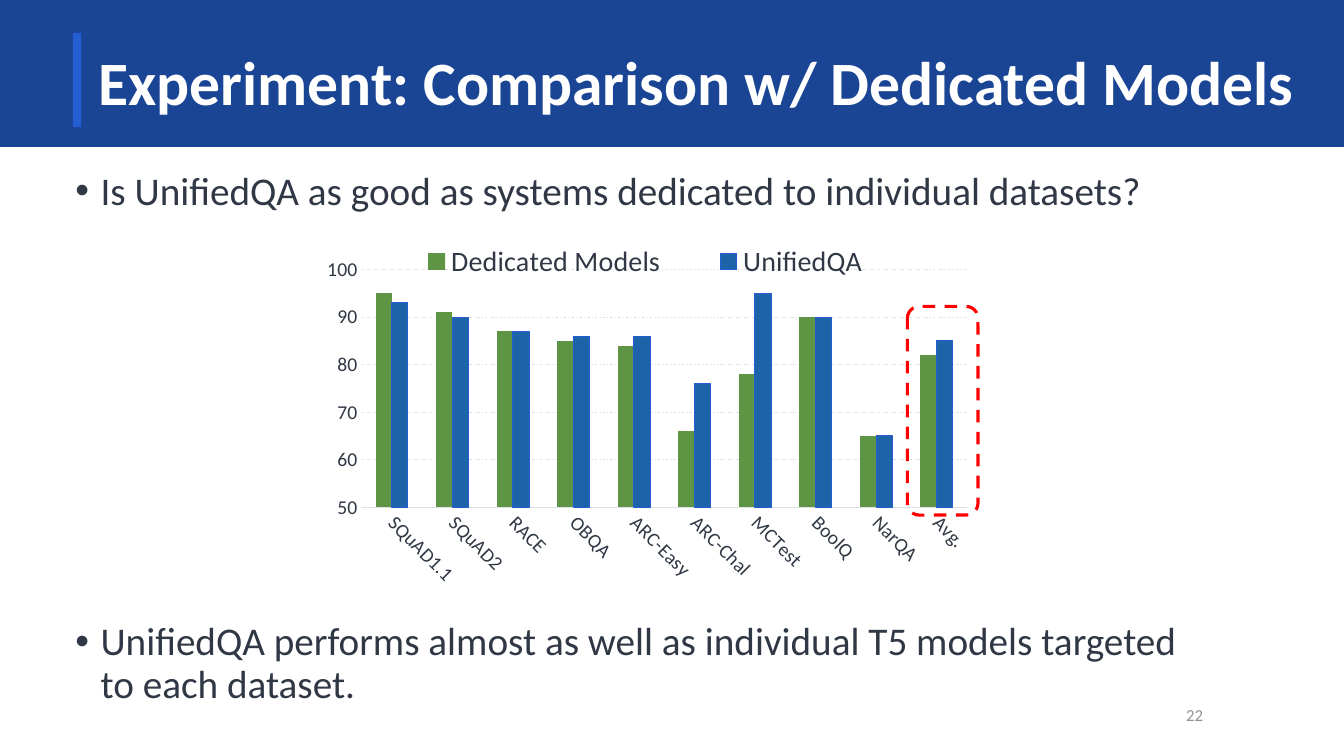
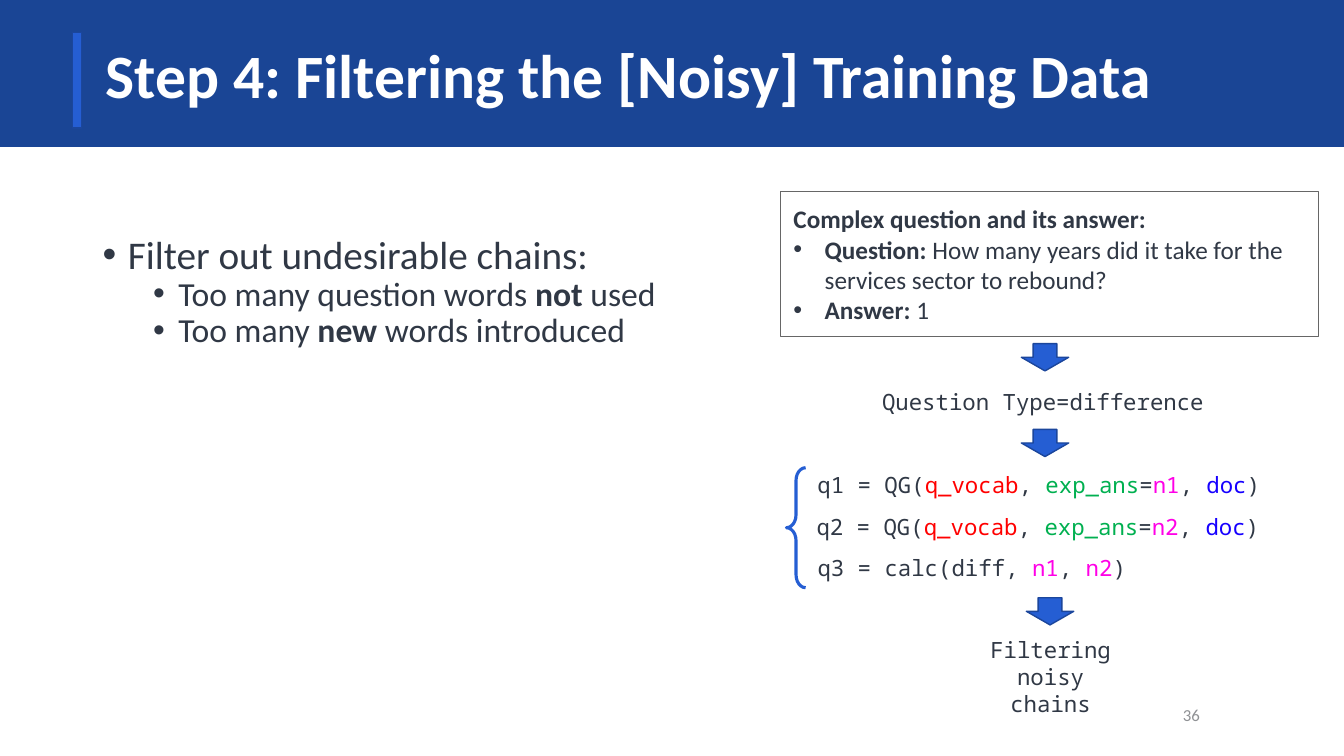
from dataclasses import dataclass
from typing import Optional

from lxml import etree
from pptx import Presentation
from pptx import util as u
from pptx.chart.data import CategoryChartData
from pptx.dml.color import RGBColor
from pptx.enum import chart as ch, dml, shapes, text
from pptx.oxml import ns

HEX = {
    "band": "1A4595", "blue": "255ED3", "edge": "1B469C", "white": "FFFFFF",
    "ink": "303845", "page": "8F9194", "frame": "666666", "alert": "FF0000",
    "grid": "DCE0E7", "green": "5D9544", "navy": "1C63AA",
    "vocab": "FF0000", "exp": "00B050", "num": "FF00E7", "doc": "1700FF",
}
# Colours of the marked words in the code lines
WORDS = {"q_vocab": "vocab", "exp_ans": "exp", "n1": "num", "n2": "num", "doc": "doc"}
SANS, MONO = "Calibri", "Noto Sans Mono"
SHAPE, TOP, MID = shapes.MSO_SHAPE, text.MSO_ANCHOR.TOP, text.MSO_ANCHOR.MIDDLE
ALIGN = text.PP_ALIGN


@dataclass
class Box:
    """Place and size in inches."""
    left: float
    top: float
    width: float
    height: float

    def emu(self) -> tuple:
        return tuple(u.Inches(n) for n in (self.left, self.top, self.width, self.height))


@dataclass
class Para:
    """One paragraph; words between asterisks are bold, bars part coloured words."""
    words: str
    size: float = 28
    color: str = "ink"
    font: str = SANS
    bold: Optional[bool] = None
    align: Optional[ALIGN] = None
    space: float = 1
    margin: float = 0
    hang: float = 0
    level: int = 0


def rgb(name: str) -> RGBColor:
    return RGBColor.from_string(HEX[name])


def style(font, size: float, color: str = "ink", name: str = SANS) -> None:
    font.size, font.name = u.Pt(size), name
    font.color.rgb = rgb(color)


def bullet(par, margin: float, hang: float) -> None:
    props = par._p.get_or_add_pPr()
    props.set("marL", str(u.Inches(margin)))
    props.set("indent", str(-u.Inches(hang)))
    face = etree.SubElement(props, ns.qn("a:buFont"))
    face.set("typeface", "Arial")
    etree.SubElement(props, ns.qn("a:buChar")).set("char", "•")


def write(frame, paras: list, anchor=TOP, inset: Optional[float] = None,
          wrap: bool = True) -> None:
    frame.word_wrap, frame.vertical_anchor = wrap, anchor
    if not wrap:
        frame.auto_size = text.MSO_AUTO_SIZE.SHAPE_TO_FIT_TEXT
    if inset is not None:
        frame.margin_left = frame.margin_right = u.Inches(inset)
        frame.margin_top = frame.margin_bottom = u.Inches(inset)
    for i, item in enumerate(paras):
        par = frame.paragraphs[0] if i == 0 else frame.add_paragraph()
        par.level = item.level
        par.alignment = item.align or ALIGN.LEFT
        par.line_spacing = item.space
        if item.hang:
            bullet(par, item.margin, item.hang)
        style(par.font, item.size, item.color, item.font)
        par.font.bold = item.bold
        for j, part in enumerate(item.words.split("*")):
            for piece in filter(None, part.split("|")):
                run = par.add_run()
                run.text = piece
                if j % 2:
                    run.font.bold = True
                if piece in WORDS:
                    run.font.color.rgb = rgb(WORDS[piece])


def label(slide, box: Box, paras: list, **opts) -> None:
    write(slide.shapes.add_textbox(*box.emu()).text_frame, paras, **opts)


def draw(slide, kind, box: Box, fill: Optional[str], line: str, weight: float = 1):
    shape = slide.shapes.add_shape(kind, *box.emu())
    shape.shadow.inherit = False
    if fill:
        shape.fill.solid()
        shape.fill.fore_color.rgb = rgb(fill)
    else:
        shape.fill.background()
    shape.line.color.rgb = rgb(line)
    shape.line.width = u.Pt(weight)
    return shape


def start(deck, title: str, page: str, box: Box, anchor, inset: float):
    """Blank slide with the band, accent bar, title and page number."""
    slide = deck.slides.add_slide(deck.slide_layouts[6])
    draw(slide, SHAPE.RECTANGLE, Box(0, 0, 13.33, 1.45), "band", "band")
    draw(slide, SHAPE.RECTANGLE, Box(0.72, 0.32, 0.09, 0.95), "blue", "edge")
    head = Para(title, 44, "white", bold=True, space=0.9)
    label(slide, box, [head], anchor=anchor, inset=inset)
    foot = Para(page, 12, "page", align=ALIGN.RIGHT)
    label(slide, Box(11.45, 6.89, 0.58, 0.4), [foot], anchor=MID, inset=inset)
    return slide


def place(parent, index: int, box: Box, inner: bool = False) -> None:
    """Set a manual layout, in fractions of the chart."""
    for old in parent.findall(ns.qn("c:layout")):
        parent.remove(old)
    layout = etree.Element(ns.qn("c:layout"))
    manual = etree.SubElement(layout, ns.qn("c:manualLayout"))
    rules = [("layoutTarget", "inner")] if inner else []
    rules += [("xMode", "edge"), ("yMode", "edge"), ("x", box.left), ("y", box.top),
              ("w", box.width), ("h", box.height)]
    for tag, val in rules:
        etree.SubElement(manual, ns.qn("c:" + tag)).set("val", str(val))
    parent.insert(index, layout)


def scores(slide) -> None:
    data = CategoryChartData()
    data.categories = ["SQuAD1.1", "SQuAD2", "RACE", "OBQA", "ARC-Easy",
                       "ARC-Chal", "MCTest", "BoolQ", "NarQA", "Avg."]
    data.add_series("Dedicated Models", [95, 91, 87, 85, 84, 66, 78, 90, 65, 82])
    data.add_series("UnifiedQA", [93, 90, 87, 86, 86, 76, 95, 90, 65, 85])
    kind = ch.XL_CHART_TYPE.COLUMN_CLUSTERED
    chart = slide.shapes.add_chart(kind, *Box(3.23, 2.31, 6.47, 3.81).emu(), data).chart
    style(chart.font, 10)
    chart.has_title = False

    # Bars
    plot = chart.plots[0]
    plot.gap_width, plot.overlap, plot.vary_by_categories = 175, 0, False
    for series, color in zip(plot.series, ("green", "navy")):
        series.format.fill.solid()
        series.format.fill.fore_color.rgb = rgb(color)
    border = plot.series[1].format.line
    border.color.rgb, border.width = rgb("blue"), u.Pt(0.75)

    # Axes
    cats, vals = chart.category_axis, chart.value_axis
    for axis in (cats, vals):
        axis.major_tick_mark = axis.minor_tick_mark = ch.XL_TICK_MARK.NONE
        style(axis.tick_labels.font, 14)
    cats._element.find(ns.qn("c:txPr")).find(ns.qn("a:bodyPr")).set("rot", "2700000")
    cats.format.line.color.rgb, cats.format.line.width = rgb("grid"), u.Pt(0.75)
    vals.minimum_scale, vals.maximum_scale, vals.major_unit = 50, 100, 10
    vals.format.line.fill.background()
    vals.has_major_gridlines = True
    grid = vals.major_gridlines.format.line
    grid.color.rgb, grid.width = rgb("grid"), u.Pt(0.5)
    grid.dash_style = dml.MSO_LINE.DASH_DOT

    # Legend and plot area
    chart.has_legend = True
    legend = chart.legend
    legend.position = ch.XL_LEGEND_POSITION.TOP
    legend.include_in_layout = True
    style(legend.font, 20)
    place(legend._element, 1, Box(0.08, 0.02, 0.82, 0.11))
    area = chart._chartSpace.chart.plotArea
    place(area, 0, Box(0.055, 0.096, 0.928, 0.619), inner=True)


def compare(deck) -> None:
    slide = start(deck, "Experiment: Comparison w/ Dedicated Models", "22",
                  Box(0.88, 0.32, 12.42, 1.05), MID, 0.1)
    points = [
        (1.65, "Is UnifiedQA as good as systems dedicated to individual datasets?"),
        (6.12, "UnifiedQA performs almost as well as individual T5 models targeted "
               "to each dataset."),
    ]
    for top, words in points:
        par = Para(words, space=0.9, margin=0.25, hang=0.25)
        label(slide, Box(0.65, top, 11.5, 0.9), [par])
    scores(slide)
    mark = draw(slide, SHAPE.ROUNDED_RECTANGLE, Box(9, 3.04, 0.7, 2.07), None, "alert", 2.25)
    mark.line.dash_style = dml.MSO_LINE.DASH


def filtering(deck) -> None:
    slide = start(deck, "Step 4: Filtering the [Noisy] Training Data", "36",
                  Box(0.92, 0.32, 11.5, 1.05), TOP, 0.13)
    subs = ["Too many question words *not* used", "Too many *new* words introduced"]
    label(slide, Box(0.92, 2, 6.83, 4.76), [
        Para("Filter out undesirable chains:", space=1.5, margin=0.25, hang=0.25),
        *(Para(s, 24, space=0.9, margin=0.75, hang=0.25, level=1) for s in subs),
    ])

    # Question and answer
    card = draw(slide, SHAPE.RECTANGLE, Box(7.74, 1.9, 5.34, 1.44), None, "frame", 0.75)
    facts = ["*Question:* How many years did it take for the services sector to rebound?",
             "*Answer:* 1"]
    write(card.text_frame, [
        Para("Complex question and its answer:", 18, bold=True),
        *(Para(f, 18, margin=0.31, hang=0.31) for f in facts),
    ], anchor=MID, inset=0.13)

    # Steps in code type
    lines = [
        (Box(8.65, 3.8, 3.44, 0.37), "Question Type=difference"),
        (Box(8.01, 4.62, 4.66, 0.37), "q1 = QG(|q_vocab|, |exp_ans|=|n1|, |doc|)"),
        (Box(8, 5.04, 4.79, 0.37), "q2 = QG(|q_vocab|, |exp_ans|=|n2|, |doc|)"),
        (Box(8.01, 5.45, 3.31, 0.37), "q3 = calc(diff, |n1|, |n2|)"),
    ]
    for box, words in lines:
        label(slide, box, [Para(words, 16, font=MONO)], wrap=False)
    last = [Para(w, 16, font=MONO, align=ALIGN.CENTER) for w in ("Filtering", "noisy", "chains")]
    label(slide, Box(9.71, 6.26, 1.42, 0.91), last, wrap=False)

    # Arrows and brace
    for left, top in ((10.13, 3.41), (10.13, 4.26), (10.18, 5.93)):
        draw(slide, SHAPE.DOWN_ARROW, Box(left, top, 0.47, 0.27), "blue", "edge")
    brace = draw(slide, SHAPE.LEFT_BRACE, Box(7.8, 4.64, 0.19, 1.19), None, "blue", 2.25)
    brace.adjustments[0] = 0.67


def main() -> None:
    deck = Presentation()
    deck.slide_width, deck.slide_height = u.Inches(13.33), u.Inches(7.5)
    compare(deck)
    filtering(deck)
    deck.save("out.pptx")


if __name__ == "__main__":
    main()
